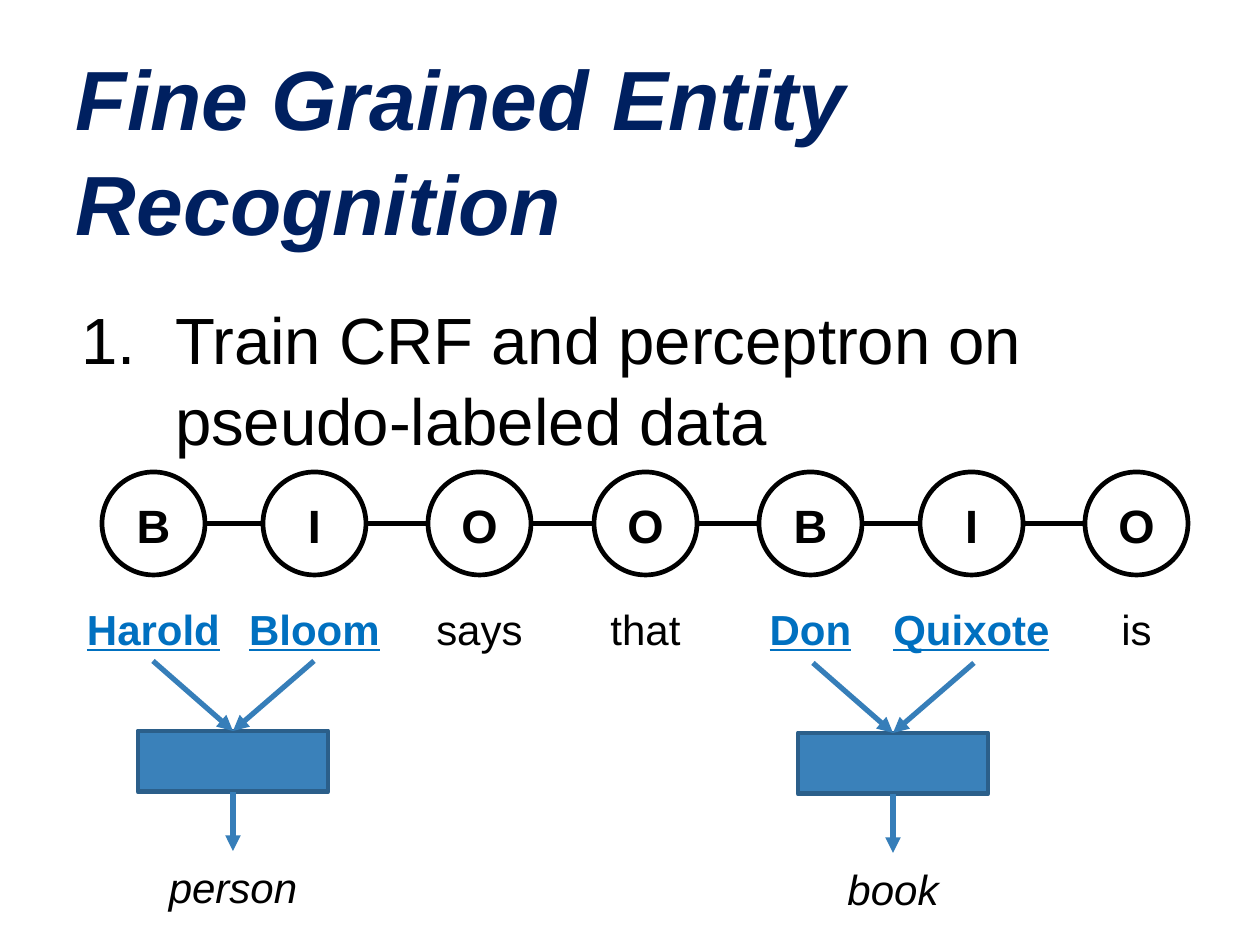
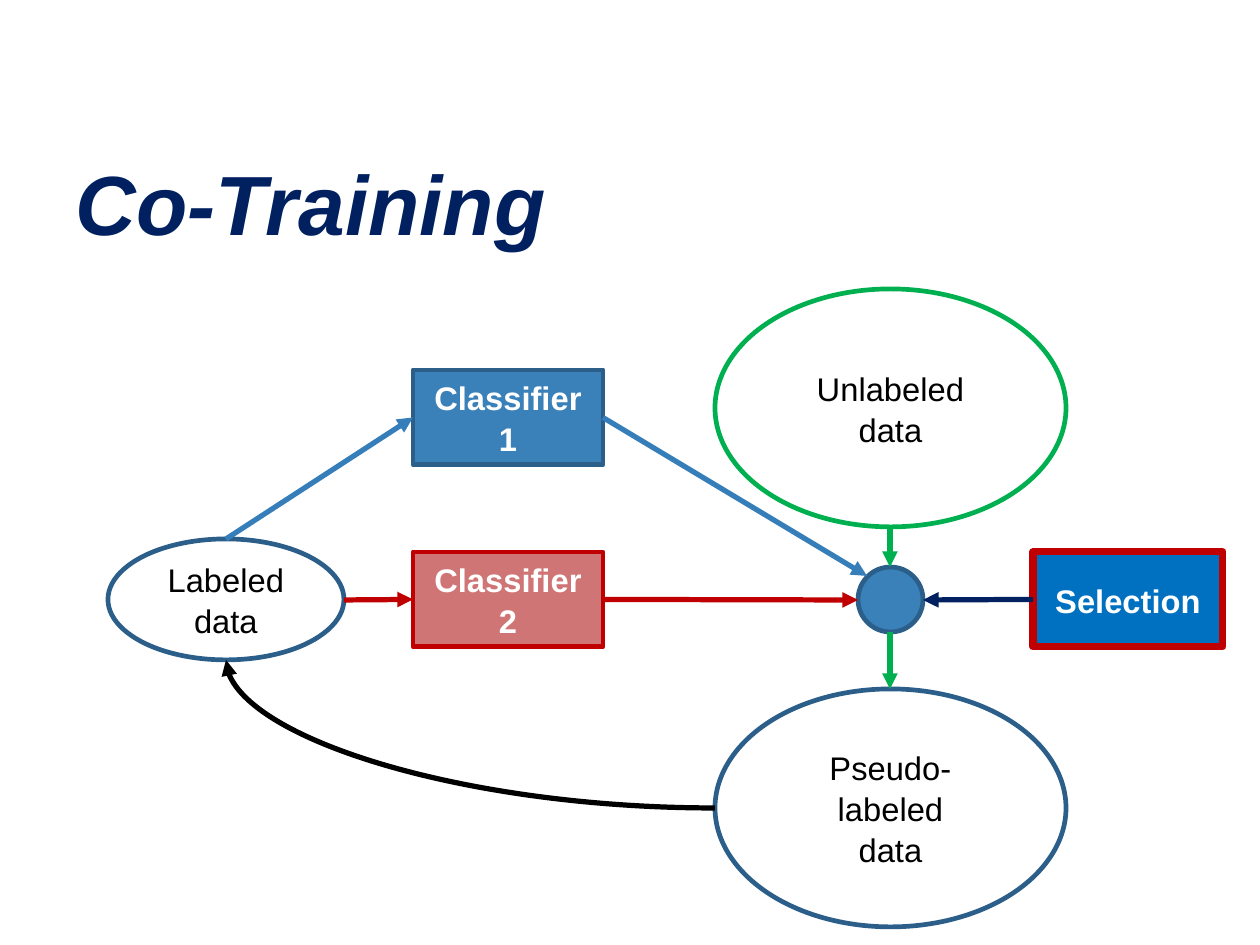
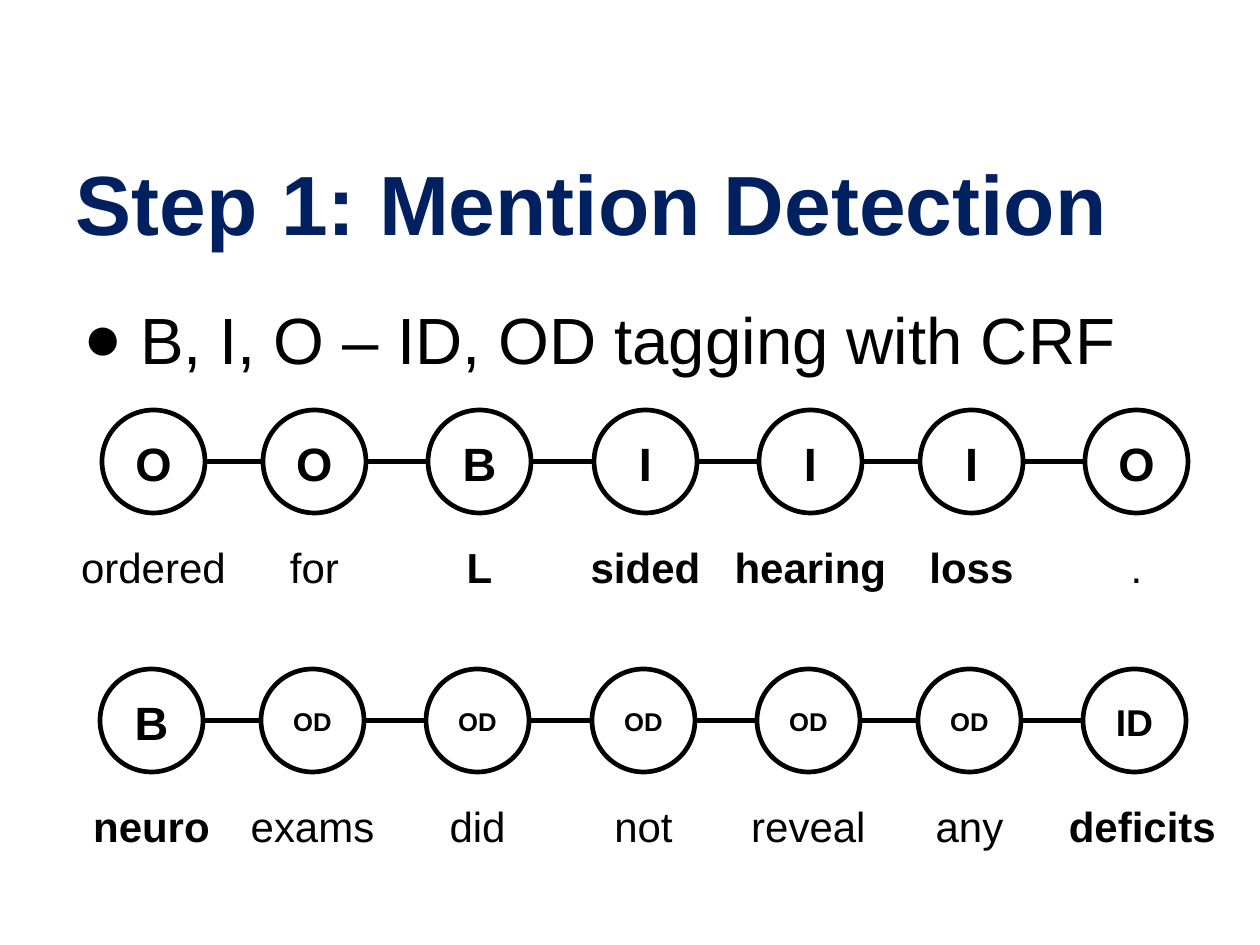
from dataclasses import dataclass

from lxml import etree
from pptx import Presentation
from pptx.dml.color import RGBColor
from pptx.enum.shapes import MSO_CONNECTOR, MSO_SHAPE
from pptx.enum.text import MSO_ANCHOR, MSO_AUTO_SIZE, PP_ALIGN
from pptx.oxml.ns import qn
from pptx.util import Pt

RECT, OVAL = MSO_SHAPE.RECTANGLE, MSO_SHAPE.OVAL
STRAIGHT, CURVE = MSO_CONNECTOR.STRAIGHT, MSO_CONNECTOR.CURVE
LEFT, CENTER = PP_ALIGN.LEFT, PP_ALIGN.CENTER
TOP, MIDDLE, BOTTOM = MSO_ANCHOR.TOP, MSO_ANCHOR.MIDDLE, MSO_ANCHOR.BOTTOM
FIXED, GROW = MSO_AUTO_SIZE.NONE, MSO_AUTO_SIZE.SHAPE_TO_FIT_TEXT
TITLE_AND_BODY, TITLE_ONLY = 1, 5
PX = 914400 / 168


@dataclass
class Theme:
    font: str = "Arial"
    black: str = "000000"
    white: str = "FFFFFF"
    navy: str = "002060"
    blue: str = "0070C0"
    steel: str = "3A81BA"
    steel_dark: str = "2B5F8A"
    arrow: str = "367EB9"
    green: str = "00B050"
    red: str = "C00000"
    rose: str = "D07576"
    title: int = 36
    body: int = 28
    tag: int = 20
    word: int = 18
    label: int = 14
    outline: float = 2
    stroke: float = 2.25
    spacing: float = 1.04


T = Theme()


def node(s, kind, x, y, w, h, text="", size=T.label, color=T.black, fill=None, line=None,
         width=T.outline, bold=False, italic=False, underline=False):
    box = [round(v * PX) for v in (x, y, w, h)]
    if kind is None:
        sp = s.shapes.add_textbox(*box)
    else:
        sp = s.shapes.add_shape(kind, *box)
        sp.shadow.inherit = False
        if fill:
            sp.fill.solid()
            sp.fill.fore_color.rgb = RGBColor.from_string(fill)
        else:
            sp.fill.background()
        sp.line.color.rgb = RGBColor.from_string(line)
        sp.line.width = Pt(width)
    tf = sp.text_frame
    tf.word_wrap = True
    if kind is None:
        tf.auto_size = GROW
    else:
        tf.vertical_anchor = MIDDLE
    tf.text = text
    for p in tf.paragraphs:
        p.alignment = CENTER
        p.line_spacing = T.spacing
        for r in p.runs:
            r.font.name, r.font.size = T.font, Pt(size)
            r.font.color.rgb = RGBColor.from_string(color)
            r.font.bold, r.font.italic, r.font.underline = bold, italic, underline
    return sp


def link(s, x1, y1, x2, y2, color, head=None, tail="triangle", kind=STRAIGHT):
    c = s.shapes.add_connector(kind, *[round(v * PX) for v in (x1, y1, x2, y2)])
    c.line.color.rgb = RGBColor.from_string(color)
    c.line.width = Pt(T.stroke)
    ln = c.line._get_or_add_ln()
    for end, arrow in (("a:headEnd", head), ("a:tailEnd", tail)):
        if arrow:
            etree.SubElement(ln, qn(end)).set("type", arrow)
    etree.SubElement(c._element.spPr, qn("a:effectLst"))
    return c


prs = Presentation()
prs.slide_width, prs.slide_height = round(1260 * PX), round(945 * PX)

pages = [
    ("Fine Grained Entity Recognition", True, "Train CRF and perceptron on pseudo-labeled data",
     "a:buAutoNum", {"type": "arabicPeriod"}, 99, -94),
    ("Co-Training", True, None, None, None, 0, 0),
    ("Step 1: Mention Detection", False, "B, I, O – ID, OD tagging with CRF",
     "a:buChar", {"char": "●"}, 64, -57),
]
slides = []
for title, slanted, body, bullet, attrs, margin, indent in pages:
    s = prs.slides.add_slide(prs.slide_layouts[TITLE_AND_BODY if body else TITLE_ONLY])
    slides.append(s)
    blocks = [(s.shapes.title, title, 146, 118, T.title, T.navy, BOTTOM)]
    if body:
        blocks.append((s.placeholders[1], body, 284, 627, T.body, T.black, TOP))
    for sp, text, y, h, size, color, anchor in blocks:
        sp.left, sp.top, sp.width, sp.height = [round(v * PX) for v in (64, y, 1134, h)]
        tf = sp.text_frame
        tf.auto_size, tf.word_wrap, tf.vertical_anchor = FIXED, True, anchor
        tf.margin_left = tf.margin_right = tf.margin_top = tf.margin_bottom = round(12 * PX)
        tf.text = text
        p = tf.paragraphs[0]
        p.alignment, p.line_spacing, p.space_before = LEFT, T.spacing, Pt(0)
        r = p.runs[0]
        r.font.name, r.font.size = T.font, Pt(size)
        r.font.color.rgb = RGBColor.from_string(color)
        r.font.bold = sp is blocks[0][0]
        r.font.italic = slanted and sp is blocks[0][0]
    if body:
        pPr = p._p.get_or_add_pPr()
        pPr.set("marL", str(round(margin * PX)))
        pPr.set("indent", str(round(indent * PX)))
        etree.SubElement(pPr, qn("a:buFont")).set("typeface", T.font)
        etree.SubElement(pPr, qn(bullet), attrs)

entity, cotrain, mention = slides

CIRCLE = 103
columns = [102, 263, 428, 594, 759, 920, 1085]
tag_sizes = {"OD": 11, "ID": 16}
word_widths = {"says": 202, "Don": 195, "Quixote": 192, "hearing": 195, "reveal": 195, "deficits": 197}
word_shifts = {"deficits": 8}
chains = [
    (entity, 0, 472, "B I O O B I O", "Harold Bloom says that Don Quixote is",
     "Harold Bloom Don Quixote", T.blue, True),
    (mention, 0, 410, "O O B I I I O", "ordered for L sided hearing loss .",
     "L sided hearing loss", T.black, False),
    (mention, -2, 669, "B OD OD OD OD OD ID", "neuro exams did not reveal any deficits",
     "neuro deficits", T.black, False),
]
for s, dx, y, tags, words, marked, color, underline in chains:
    for x, tag, word in zip(columns, tags.split(), words.split()):
        node(s, OVAL, x + dx, y, CIRCLE, CIRCLE, tag, tag_sizes.get(tag, T.tag),
             fill=T.white, line=T.black, bold=True)
        w = word_widths.get(word, 180)
        center = x + dx + CIRCLE / 2 + word_shifts.get(word, 0)
        strong = word in marked.split()
        node(s, None, center - w / 2, y + 121, w, 67, word, T.word,
             color if strong else T.black, bold=strong, underline=strong and underline)
    mid = y + CIRCLE / 2
    for x, following in zip(columns, columns[1:]):
        link(s, x + dx + CIRCLE, mid, following + dx, mid, T.black, tail=None)

for x, y, kind in [(138, 731, "person"), (798, 733, "book")]:
    box = node(entity, RECT, x, y, 190, 61, fill=T.steel, line=T.steel_dark)
    for start in (x + 15, x + 176):
        c = link(entity, start, y - 70, x + 95, y, T.arrow)
        c.end_connect(box, 0)
    node(entity, None, x, y + 120, 190, 67, kind, T.word, italic=True)
    c = link(entity, x + 95, y + 61, x + 95, y + 120, T.arrow)
    c.begin_connect(box, 2)

s = cotrain
labeled = node(s, OVAL, 108, 539, 236, 121, "Labeled\ndata", line=T.steel_dark)
node(s, OVAL, 715, 289, 351, 238, "Unlabeled\ndata", line=T.green)
pseudo = node(s, OVAL, 715, 689, 351, 238, "Pseudo-labeled\ndata", line=T.steel_dark)
node(s, OVAL, 858, 567, 65, 65, fill=T.steel, line=T.steel_dark)
first, second, selection = [
    node(s, RECT, x, y, 190, 95, text, color=T.white, fill=fill, line=line, width=width, bold=True)
    for x, y, text, fill, line, width in [
        (413, 370, "Classifier 1", T.steel, T.steel_dark, T.outline),
        (413, 552, "Classifier 2", T.rose, T.red, T.outline),
        (1033, 552, "Selection", T.blue, T.red, 3),
    ]
]
flows = [
    (226, 539, 413, 417, T.arrow, None, first),
    (603, 417, 867, 576, T.arrow, first, None),
    (344, 600, 413, 600, T.red, None, second),
    (603, 600, 858, 600, T.red, second, None),
    (1033, 600, 923, 600, T.navy, selection, None),
    (890, 527, 890, 567, T.green, None, None),
    (890, 632, 890, 689, T.green, None, None),
]
for x1, y1, x2, y2, color, source, target in flows:
    c = link(s, x1, y1, x2, y2, color)
    if source:
        c.begin_connect(source, 3 if x2 > x1 else 1)
    if target:
        c.end_connect(target, 1)

c = link(s, 226, 660, 715, 808, T.black, kind=CURVE)
c._element.spPr.find(qn("a:xfrm")).set("rot", "10800000")
c._element.spPr.find(qn("a:prstGeom")).set("prst", "curvedConnector2")
joints = c._element.find(".//" + qn("p:cNvCxnSpPr"))
for end, sp, site in (("a:stCxn", pseudo, 2), ("a:endCxn", labeled, 4)):
    etree.SubElement(joints, qn(end), {"id": str(sp.shape_id), "idx": str(site)})

prs.save("out.pptx")
